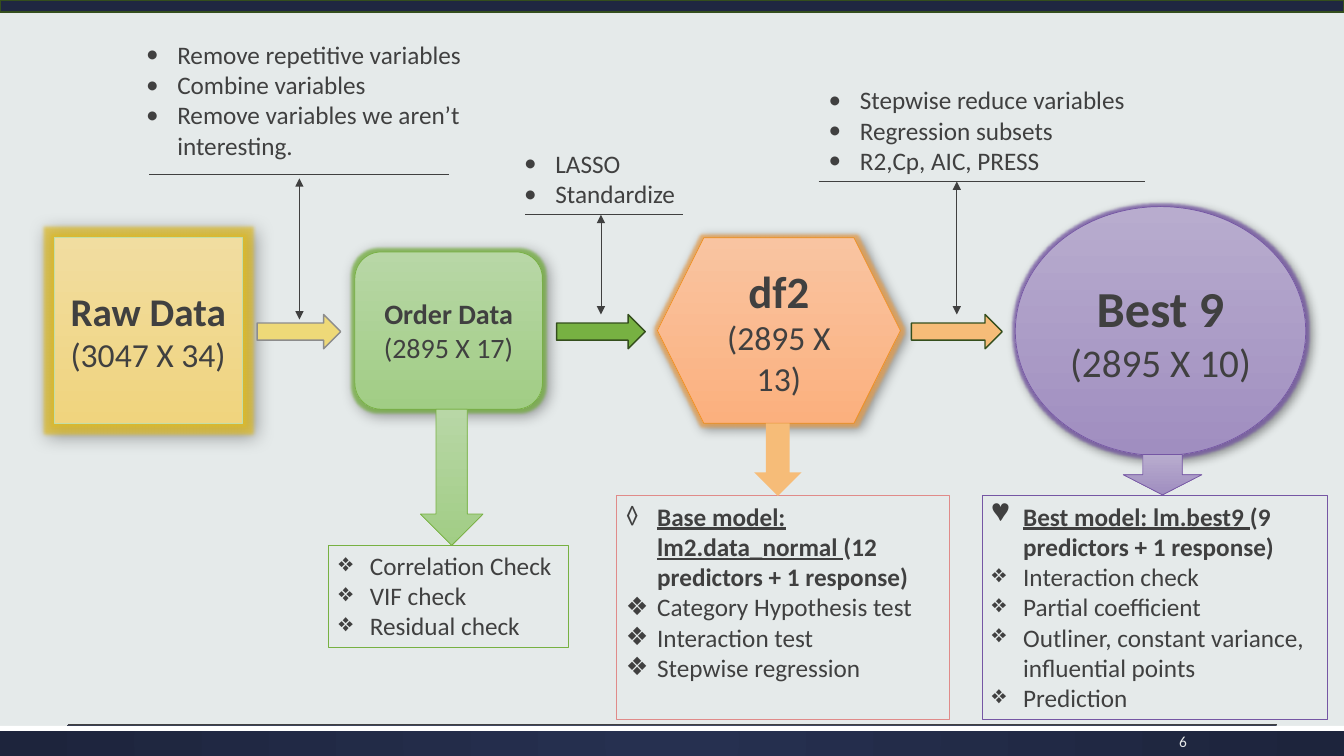
import pptx
import pptx.dml.color
import pptx.enum.shapes
import pptx.enum.text
import pptx.oxml
import pptx.oxml.ns
import pptx.util
from lxml import etree

Inches, Pt = pptx.util.Inches, pptx.util.Pt
SHAPE = pptx.enum.shapes.MSO_SHAPE
ALIGN = pptx.enum.text.PP_ALIGN
ANCHOR = pptx.enum.text.MSO_ANCHOR
qn = pptx.oxml.ns.qn
NS = pptx.oxml.ns.nsdecls("a")


def rgb(value):
    return pptx.dml.color.RGBColor.from_string(value)


class FlowSlide:
    font_name = "Calibri"
    ink = "404040"
    indent = 0.31

    def __init__(self, slide):
        self.slide = slide

    def shape(self, kind, at, fill=None, line=None, width=0.5):
        """fill is a hex string, or a (top, bottom) pair for a gradient."""
        item = self.slide.shapes.add_shape(kind, *map(Inches, at))
        item.shadow.inherit = False
        if fill is None:
            item.fill.background()
        elif isinstance(fill, str):
            item.fill.solid()
            item.fill.fore_color.rgb = rgb(fill)
        else:
            item.fill.gradient()
            item.fill.gradient_angle = 270
            for stop, colour in zip(item.fill.gradient_stops, fill):
                stop.color.rgb = rgb(colour)
        if line:
            item.line.color.rgb = rgb(line)
            item.line.width = Pt(width)
        else:
            item.line.fill.background()
        return item

    def radial(self, item):
        linear = item._element.spPr.find(".//" + qn("a:lin"))
        linear.getparent().replace(linear, pptx.oxml.parse_xml(
            f'<a:path {NS} path="circle"><a:fillToRect l="50000" t="50000" '
            'r="50000" b="50000"/></a:path>'))

    def style(self, paragraph, size, bold=False, colour=None):
        font = paragraph.font
        font.name, font.size, font.bold = self.font_name, Pt(size), bold
        font.color.rgb = rgb(colour or self.ink)

    def stage(self, kind, at, fill, line, glow, radius, blur, title, size, count, count_size):
        item = self.shape(kind, at, fill, line)
        effects = item._element.spPr.find(qn("a:effectLst"))
        for xml in (
            f'<a:glow {NS} rad="{Pt(radius)}"><a:srgbClr val="{glow}">'
            '<a:alpha val="75000"/></a:srgbClr></a:glow>',
            f'<a:outerShdw {NS} blurRad="{Pt(blur)}" dist="{Pt(3)}" dir="2700000">'
            '<a:srgbClr val="000000"><a:alpha val="40000"/></a:srgbClr></a:outerShdw>',
        ):
            effects.append(pptx.oxml.parse_xml(xml))
        frame = item.text_frame
        frame.word_wrap = True
        frame.vertical_anchor = ANCHOR.MIDDLE
        frame.text = f"{title}\n{count}"
        for paragraph, points, bold in zip(frame.paragraphs, (size, count_size), (True, False)):
            paragraph.alignment = ALIGN.CENTER
            self.style(paragraph, points, bold)

    def text_box(self, at):
        return self.slide.shapes.add_textbox(*map(Inches, at))

    def bullets(self, item, lines, mark):
        """A line is a string, or (mark, underlined, rest) for a bold heading."""
        frame = item.text_frame
        frame.word_wrap = True
        frame.vertical_anchor = ANCHOR.TOP
        for number, line in enumerate(lines):
            paragraph = frame.paragraphs[0] if number == 0 else frame.add_paragraph()
            paragraph.alignment = ALIGN.LEFT
            heading = not isinstance(line, str)
            self.style(paragraph, 18, heading)
            if heading:
                own_mark, underlined, rest = line
                run = paragraph.add_run()
                run.text = underlined
                run.font.underline = True
                paragraph.add_run().text = rest
            else:
                own_mark = mark
                paragraph.add_run().text = line
            props = paragraph._p.get_or_add_pPr()
            props.set("marL", str(Inches(self.indent)))
            props.set("indent", str(-Inches(self.indent)))
            props.insert(0, pptx.oxml.parse_xml(f'<a:buChar {NS} char="{own_mark}"/>'))
            if own_mark in "•◊":
                props.insert(0, pptx.oxml.parse_xml(
                    f'<a:buFont {NS} typeface="{self.font_name}"/>'))

    def line(self, x1, y1, x2, y2, arrows=False):
        item = self.slide.shapes.add_connector(
            pptx.enum.shapes.MSO_CONNECTOR.STRAIGHT, *map(Inches, (x1, y1, x2, y2)))
        item.line.color.rgb = rgb(self.ink)
        item.line.width = Pt(0.5)
        if arrows:
            for end in ("a:headEnd", "a:tailEnd"):
                etree.SubElement(item.line._get_or_add_ln(), qn(end), type="triangle")
        etree.SubElement(item._element.spPr, qn("a:effectLst"))


def main():
    deck = pptx.Presentation()
    deck.slide_width, deck.slide_height = Inches(13.33), Inches(7.5)
    page = deck.slides.add_slide(deck.slide_layouts[6])
    page.background.fill.solid()
    page.background.fill.fore_color.rgb = rgb("E5EAEA")
    flow = FlowSlide(page)

    # Footer band
    footer = flow.shape(SHAPE.RECTANGLE, (0, 7.2, 13.33, 0.3), ("263050", "1D243C"))
    flow.radial(footer)
    flow.shape(SHAPE.RECTANGLE, (0, 7.2, 13.33, 0.05), "FFFFFF")
    flow.line(0.67, 7.19, 12.67, 7.19)

    # Data stages
    green, purple = ("B8D7A6", "A1CD85"), ("B8ACCE", "A08EC0")
    flow.stage(SHAPE.RECTANGLE, (0.54, 2.36, 1.86, 1.84), ("F1DDA0", "F0D47E"), "C2DEA7",
               "DDBB2C", 5, 13, "Raw Data", 28, "(3047 X 34)", 24)
    flow.stage(SHAPE.ROUNDED_RECTANGLE, (3.52, 2.5, 1.86, 1.56), green, "77B142",
               "77B142", 4, 10.2, "Order Data", 20, "(2895 X 17)", 20)
    flow.stage(SHAPE.HEXAGON, (6.52, 2.36, 2.41, 1.84), ("F9C4A1", "FBB07E"), "F08F1E",
               "E8A050", 4, 7.7, "df2", 32, "(2895 X 13)", 24)
    flow.stage(SHAPE.OVAL, (10.07, 2.05, 2.88, 2.47), purple, "7556A4",
               "7556A4", 4, 6.3, "Best 9", 36, "(2895 X 10)", 28)

    # Arrows between stages
    for left, width, fill, outline in (
        (2.55, 0.83, "EED978", "8C8C8C"),
        (5.52, 0.88, "77B142", "344E1D"),
        (9.04, 0.9, "F6BC78", "344E1D"),
    ):
        flow.shape(SHAPE.RIGHT_ARROW, (left, 3.12, width, 0.34), fill, outline, 1)

    # Steps above the arrows
    for at, steps in (
        ((1.35, 0.34, 3.45, 1.31), ("Remove repetitive variables", "Combine variables",
                                    "Remove variables we aren’t interesting.")),
        ((5.1, 1.42, 2.22, 0.71), ("LASSO", "Standardize")),
        ((8.12, 0.79, 3.24, 1.01), ("Stepwise reduce variables", "Regression subsets",
                                    "R2,Cp, AIC, PRESS")),
    ):
        flow.bullets(flow.text_box(at), steps, "•")
    for left, right, rule_y, arrow_x, top, bottom in (
        (1.48, 4.45, 1.73, 2.97, 1.77, 3.17),
        (5.21, 6.77, 2.13, 5.96, 2.13, 3.12),
        (8.12, 11.36, 1.8, 9.49, 1.8, 3.12),
    ):
        flow.line(left, rule_y, right, rule_y)
        flow.line(arrow_x, top, arrow_x, bottom, arrows=True)

    # Checks below the stages
    for at, outline, checks in (
        ((3.26, 5.41, 2.38, 1.01), "77B142",
         ("Correlation Check", "VIF check", "Residual check")),
        ((6.11, 4.92, 3.31, 2.22), "E08B89",
         (("◊", "Base model: lm2.data_normal ", "(12 predictors + 1 response)"),
          "Category Hypothesis test", "Interaction test", "Stepwise regression")),
        ((9.74, 4.92, 3.43, 2.22), "7556A4",
         (("♥", "Best model: lm.best9 ", "(9 predictors + 1 response)"),
          "Interaction check", "Partial coefficient",
          "Outliner, constant variance, influential points", "Prediction")),
    ):
        flow.bullets(flow.shape(SHAPE.RECTANGLE, at, None, outline, 0.75), checks, "❖")
    for at, fill, outline in (
        ((4.17, 4.06, 0.62, 1.35), green, "77B142"),
        ((7.48, 4.2, 0.47, 0.72), "F6BC78", None),
        ((11.14, 4.51, 0.78, 0.4), purple, "7556A4"),
    ):
        flow.shape(SHAPE.DOWN_ARROW, at, fill, outline)

    # Top band and slide number
    flow.shape(SHAPE.RECTANGLE, (0, 0, 13.33, 0.12), "1F2741", "344E1D", 1)
    number = flow.text_box((11.17, 7.23, 0.7, 0.26)).text_frame
    number.word_wrap = True
    number.vertical_anchor = ANCHOR.MIDDLE
    number.text = "6"
    number.paragraphs[0].alignment = ALIGN.RIGHT
    flow.style(number.paragraphs[0], 11, colour="E5E8E8")

    deck.save("out.pptx")


if __name__ == "__main__":
    main()
